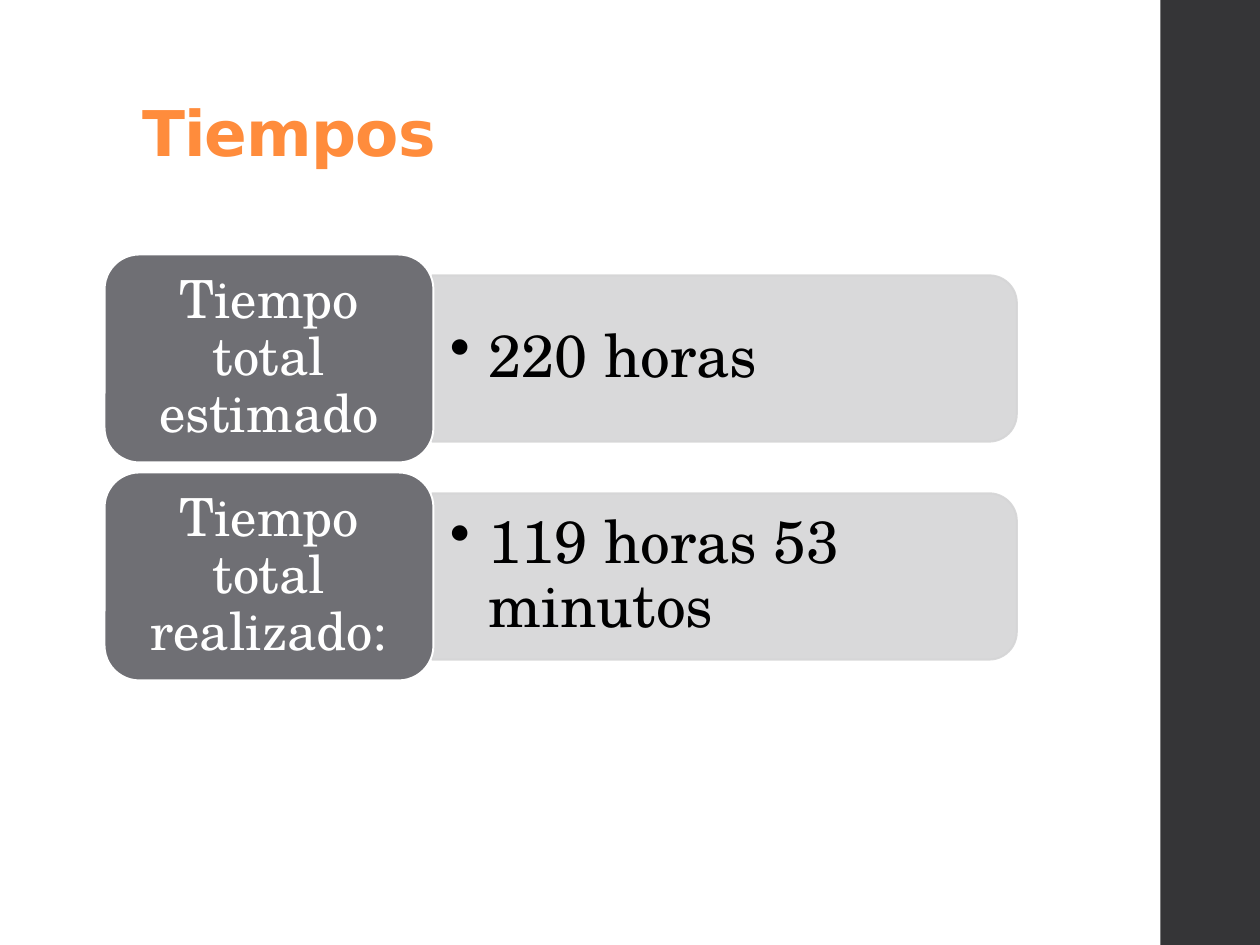
from dataclasses import dataclass

import lxml.etree
import pptx
import pptx.dml.color
import pptx.enum.shapes
import pptx.enum.text
import pptx.oxml.ns
import pptx.util

Inches = pptx.util.Inches
Pt = pptx.util.Pt
RGBColor = pptx.dml.color.RGBColor
MSO_SHAPE = pptx.enum.shapes.MSO_SHAPE
MSO_ANCHOR = pptx.enum.text.MSO_ANCHOR
PP_ALIGN = pptx.enum.text.PP_ALIGN
qn = pptx.oxml.ns.qn

WHITE = RGBColor(0xFF, 0xFF, 0xFF)
BLACK = RGBColor(0x00, 0x00, 0x00)
ORANGE = RGBColor(0xFF, 0x8C, 0x3C)
CHARCOAL = RGBColor(0x35, 0x35, 0x37)
GREY = RGBColor(0x6F, 0x6F, 0x74)
PALE = RGBColor(0xD5, 0xD5, 0xD6)

TITLE_FONT = "DejaVu Sans"
BODY_FONT = "TeX Gyre Schola"
ROW_TOP = 2.02
ROW_STEP = 1.73
ROW_HEIGHT = 1.65
LABEL_LEFT = 0.83
LABEL_WIDTH = 2.61
BAR_LEFT = 3.43
BAR_LENGTH = 4.64
BAR_HEIGHT = 1.32


@dataclass
class TimeRow:
    label: str
    value: str


@dataclass
class Area:
    left: float
    top: float
    width: float
    height: float

    def lengths(self):
        return [Inches(n) for n in (self.left, self.top, self.width, self.height)]


@dataclass
class TextStyle:
    font: str
    size: float
    color: RGBColor
    inset: float
    anchor: MSO_ANCHOR = MSO_ANCHOR.MIDDLE
    align: PP_ALIGN = PP_ALIGN.LEFT
    bold: bool = False


TITLE_STYLE = TextStyle(TITLE_FONT, 36, ORANGE, 0.1, MSO_ANCHOR.BOTTOM, bold=True)
LABEL_STYLE = TextStyle(BODY_FONT, 30, WHITE, 0.12, align=PP_ALIGN.CENTER)
VALUE_STYLE = TextStyle(BODY_FONT, 34, BLACK, 0.14)

ROWS = [
    TimeRow("Tiempo total estimado", "220 horas"),
    TimeRow("Tiempo total realizado:", "119 horas 53 minutos"),
]


def add_block(page, kind: MSO_SHAPE, area: Area, fill: RGBColor, line: RGBColor | None = None):
    block = page.shapes.add_shape(kind, *area.lengths())
    block.shadow.inherit = False
    block.fill.solid()
    block.fill.fore_color.rgb = fill
    if line is None:
        block.line.fill.background()
    else:
        block.line.color.rgb = line
        block.line.width = Pt(1.1)
    return block


def make_translucent(block, percent: int) -> None:
    for color in block._element.spPr.iter(qn("a:srgbClr")):
        lxml.etree.SubElement(color, qn("a:alpha"), val=str(percent * 1000))


def add_text(page, area: Area, text: str, style: TextStyle, vertical_inset: float):
    box = page.shapes.add_textbox(*area.lengths())
    frame = box.text_frame
    frame.word_wrap = True
    frame.vertical_anchor = style.anchor
    frame.margin_left = frame.margin_right = Inches(style.inset)
    frame.margin_top = frame.margin_bottom = Inches(vertical_inset)
    frame.text = text
    para = frame.paragraphs[0]
    para.alignment = style.align
    para.line_spacing = 0.9
    span = para.runs[0]
    span.font.name = style.font
    span.font.size = Pt(style.size)
    span.font.bold = style.bold
    span.font.color.rgb = style.color
    return para


def add_bullet(para) -> None:
    para.level = 1
    properties = para._p.get_or_add_pPr()
    properties.set("marL", str(Inches(0.31)))
    properties.set("indent", str(-Inches(0.31)))
    lxml.etree.SubElement(properties, qn("a:buChar"), char="•")


def add_time_row(page, row: TimeRow, top: float) -> None:
    middle = top + ROW_HEIGHT / 2
    bar_area = Area(
        BAR_LEFT + (BAR_LENGTH - BAR_HEIGHT) / 2,
        middle - BAR_LENGTH / 2,
        BAR_HEIGHT,
        BAR_LENGTH,
    )
    bar = add_block(page, MSO_SHAPE.ROUND_2_SAME_RECTANGLE, bar_area, PALE, PALE)
    bar.rotation = 90
    make_translucent(bar, 90)
    value_area = Area(BAR_LEFT, middle - 0.6, 4.57, 1.19)
    add_bullet(add_text(page, value_area, row.value, VALUE_STYLE, 0.07))

    label_area = Area(LABEL_LEFT, top, LABEL_WIDTH, ROW_HEIGHT)
    add_block(page, MSO_SHAPE.ROUNDED_RECTANGLE, label_area, GREY, WHITE)
    text_area = Area(LABEL_LEFT + 0.08, top + 0.08, LABEL_WIDTH - 0.16, ROW_HEIGHT - 0.16)
    add_text(page, text_area, row.label, LABEL_STYLE, 0.06)


def main() -> None:
    deck = pptx.Presentation()
    deck.slide_width = Inches(10)
    deck.slide_height = Inches(7.5)
    page = deck.slides.add_slide(deck.slide_layouts[6])
    page.background.fill.solid()
    page.background.fill.fore_color.rgb = WHITE

    add_block(page, MSO_SHAPE.RECTANGLE, Area(9.21, 0, 0.79, 7.5), CHARCOAL)
    title = add_text(page, Area(1.03, 0, 7.95, 1.45), "Tiempos", TITLE_STYLE, 0.1)
    title.runs[0]._r.get_or_add_rPr().set("spc", "-50")
    for index, row in enumerate(ROWS):
        add_time_row(page, row, ROW_TOP + index * ROW_STEP)

    deck.save("out.pptx")


if __name__ == "__main__":
    main()
